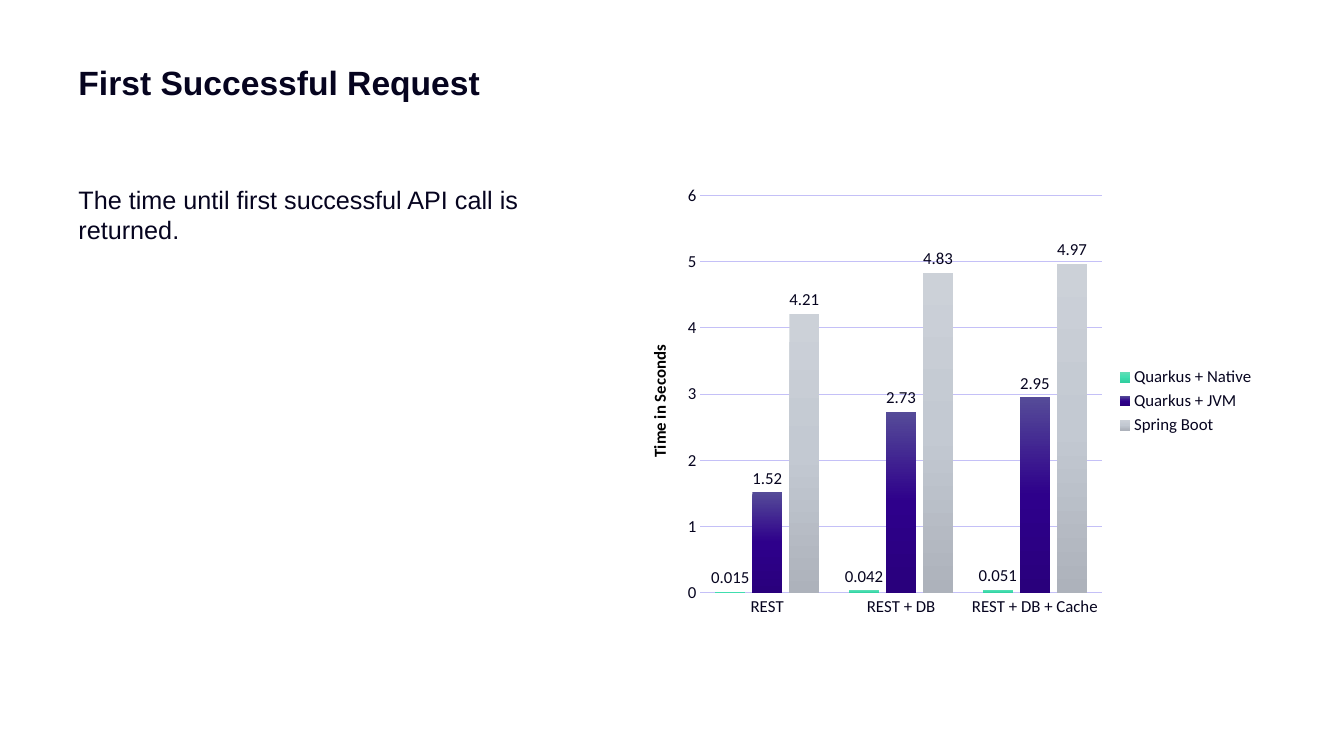
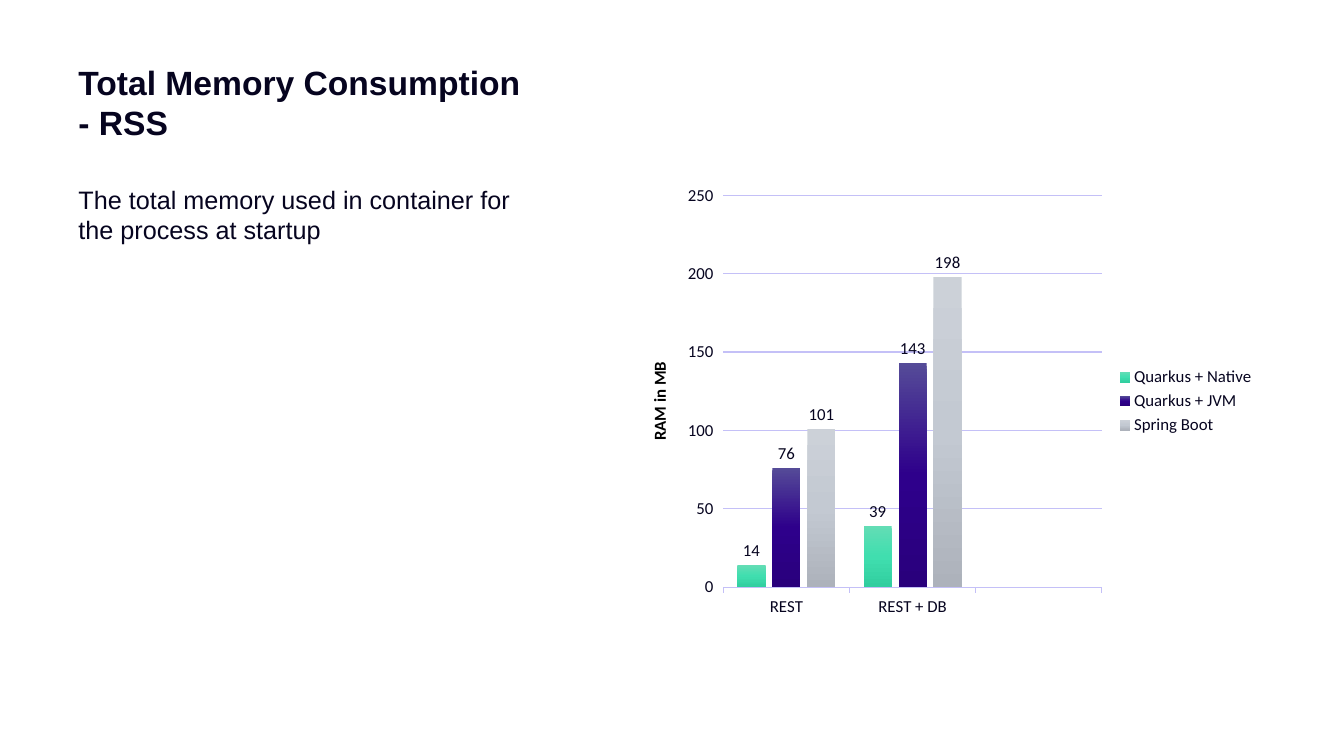
from copy import deepcopy
from pptx import Presentation
from pptx import util as u
from pptx.chart.data import CategoryChartData
from pptx.dml.color import RGBColor
from pptx.enum import chart as ch, text
from pptx.oxml.ns import qn

INK = RGBColor(0x06, 0x04, 0x1F)
BLACK = RGBColor(0x00, 0x00, 0x00)
GRID = RGBColor(0xC4, 0xC0, 0xF7)
GREEN = RGBColor(0x63, 0xDD, 0xB5), RGBColor(0x40, 0xDE, 0xAF), RGBColor(0x31, 0xCE, 0x9F)
PURPLE = RGBColor(0x55, 0x4B, 0x98), RGBColor(0x2E, 0x00, 0x8B), RGBColor(0x29, 0x00, 0x7C)
GREY = RGBColor(0xCC, 0xD1, 0xD8), RGBColor(0xC3, 0xC9, 0xD2), RGBColor(0xAD, 0xB2, 0xBB)

RUNTIMES = [("Quarkus + Native", GREEN), ("Quarkus + JVM", PURPLE), ("Spring Boot", GREY)]
PAGES = [
    dict(title="First Successful Request",
         summary="The time until first successful API call is returned.",
         unit="Time in Seconds",
         workloads=["REST", "REST + DB", "REST + DB + Cache"],
         results=[(0.015, 0.042, 0.051), (1.52, 2.73, 2.95), (4.21, 4.83, 4.97)],
         tick=ch.XL_TICK_MARK.NONE),
    dict(title="Total Memory Consumption - RSS",
         summary="The total memory used in container for the process at startup",
         unit="RAM in MB",
         workloads=["REST", "REST + DB", ""],
         results=[(14, 39, None), (76, 143, None), (101, 198, None)],
         tick=ch.XL_TICK_MARK.OUTSIDE),
]

WIDTH, HEIGHT = 13.33, 7.5
LEFT, COLUMN = 0.68, 4.74
TITLE_TOP, BODY_TOP = 0.53, 1.75
CHART_LEFT, CHART_WIDTH, CHART_HEIGHT = 6.22, 6.33, 4.46


def style(font, size, color=INK, name="Calibri", bold=False):
    font.size, font.name, font.bold = u.Pt(size), name, bold
    font.color.rgb = color


def add_text(slide, words, top, height, size, bold=False):
    box = slide.shapes.add_textbox(*map(u.Inches, (LEFT, top, COLUMN, height)))
    frame = box.text_frame
    frame.word_wrap = True
    frame.auto_size = text.MSO_AUTO_SIZE.SHAPE_TO_FIT_TEXT
    frame.margin_top = u.Inches(0.08)
    frame.text = words
    style(frame.paragraphs[0].runs[0].font, size, name="Arial", bold=bold)


def fill_gradient(series, colors):
    fill = series.format.fill
    fill.gradient()
    fill.gradient_angle = 270
    stop_list = series.format.element.find(".//" + qn("a:gsLst")) if hasattr(series.format, "element") \
        else series._element.find(".//" + qn("a:gsLst"))
    stop_list.insert(1, deepcopy(stop_list[0]))
    for stop, color, position in zip(fill.gradient_stops, colors, (0, 0.5, 1)):
        stop.color.rgb = color
        stop.position = position


def draw_line(line):
    line.color.rgb = GRID
    line.width = u.Pt(0.75)


def add_benchmark(slide, page):
    data = CategoryChartData()
    data.categories = page["workloads"]
    for (runtime, _), values in zip(RUNTIMES, page["results"]):
        data.add_series(runtime, values)
    chart = slide.shapes.add_chart(
        ch.XL_CHART_TYPE.COLUMN_CLUSTERED,
        *map(u.Inches, (CHART_LEFT, BODY_TOP, CHART_WIDTH, CHART_HEIGHT)), data).chart
    style(chart.font, 12)
    chart.has_title = False
    chart.has_legend = True
    chart.legend.position = ch.XL_LEGEND_POSITION.RIGHT
    chart.legend.include_in_layout = False
    style(chart.legend.font, 12)

    for axis in (chart.category_axis, chart.value_axis):
        axis.major_tick_mark = page["tick"]
        axis.minor_tick_mark = ch.XL_TICK_MARK.NONE
        style(axis.tick_labels.font, 12)
    draw_line(chart.category_axis.format.line)
    scale = chart.value_axis
    scale.format.line.fill.background()
    draw_line(scale.major_gridlines.format.line)
    scale.axis_title.text_frame.text = page["unit"]
    style(scale.axis_title.text_frame.paragraphs[0].runs[0].font, 12, BLACK, bold=True)

    plot = chart.plots[0]
    plot.gap_width, plot.overlap, plot.vary_by_categories = 100, -24, False
    for series, (_, colors) in zip(plot.series, RUNTIMES):
        fill_gradient(series, colors)
        labels = series.data_labels
        labels.show_value = True
        labels.position = ch.XL_LABEL_POSITION.OUTSIDE_END
        style(labels.font, 12)


def main():
    deck = Presentation()
    deck.slide_width, deck.slide_height = u.Inches(WIDTH), u.Inches(HEIGHT)
    for page in PAGES:
        slide = deck.slides.add_slide(deck.slide_layouts[6])
        add_text(slide, page["summary"], BODY_TOP, 0.74, 18)
        add_text(slide, page["title"], TITLE_TOP, 0.53, 24, bold=True)
        add_benchmark(slide, page)
    deck.save("out.pptx")


if __name__ == "__main__":
    main()
